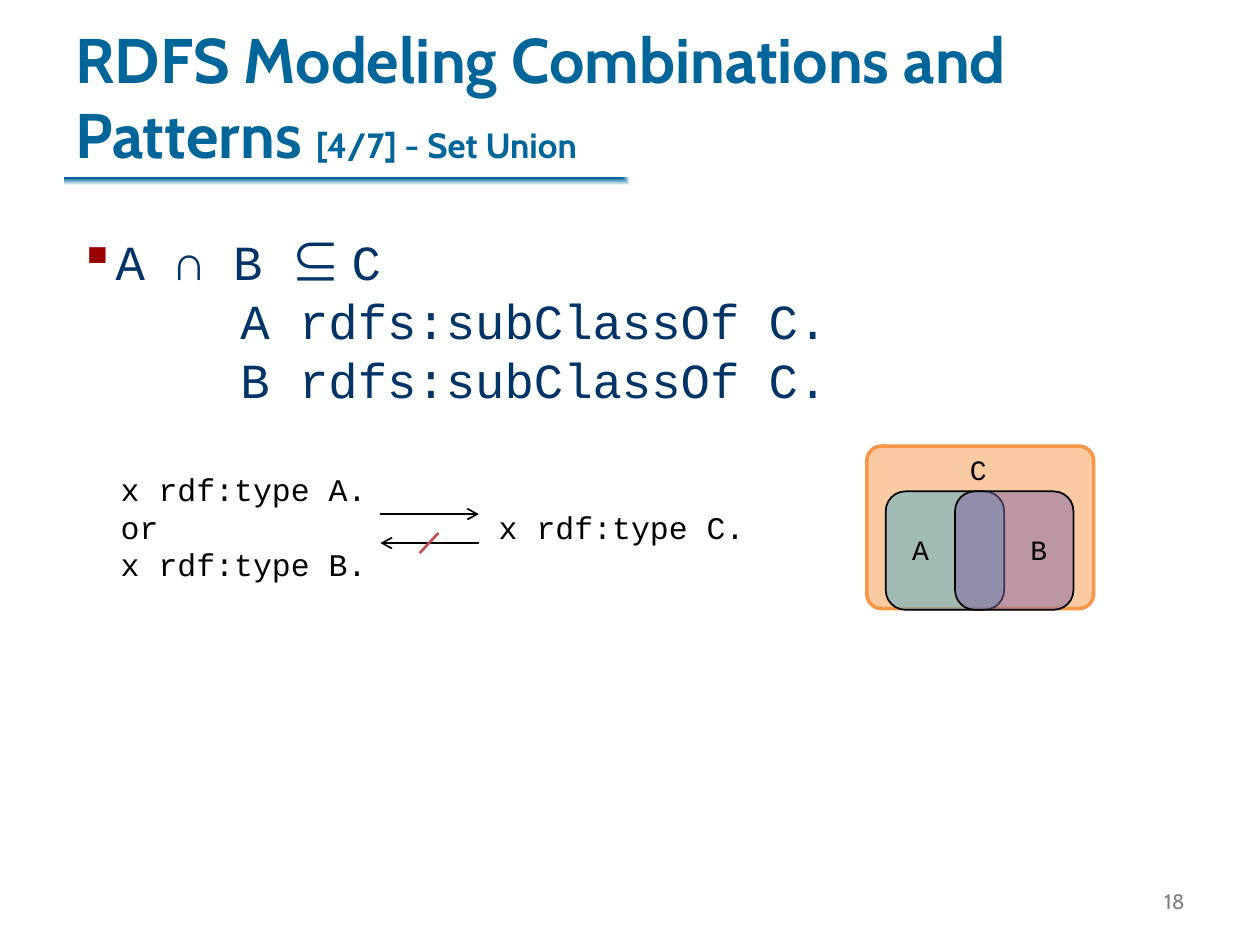
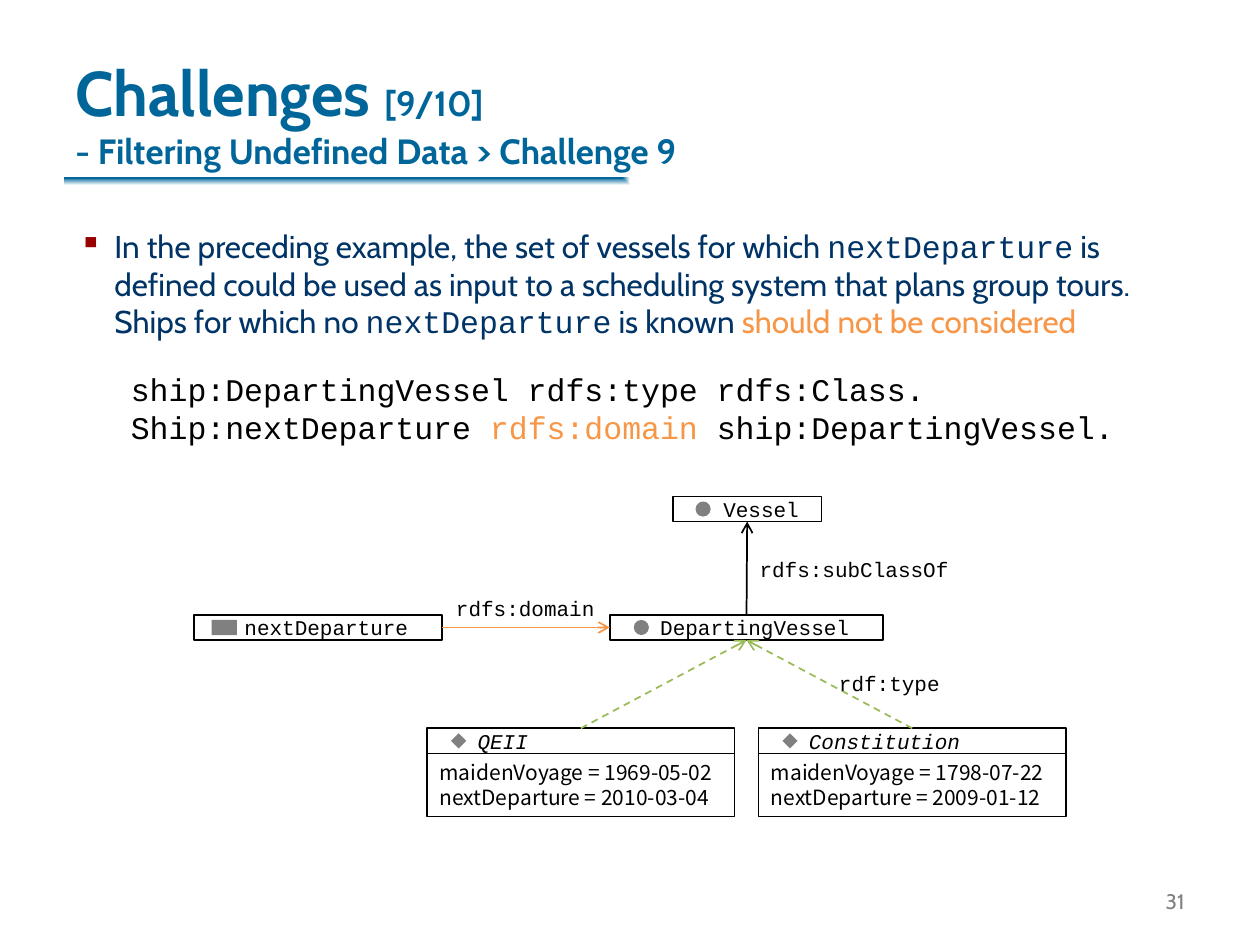
from lxml import etree
from pptx import Presentation
from pptx.dml.color import RGBColor
from pptx.enum.dml import MSO_LINE
from pptx.enum.shapes import MSO_CONNECTOR, MSO_SHAPE
from pptx.enum.text import MSO_ANCHOR, PP_ALIGN
from pptx.oxml import parse_xml
from pptx.oxml.ns import nsdecls, qn
from pptx.util import Inches, Pt

BLUE = RGBColor(0x00, 0x66, 0x99)
NAVY = RGBColor(0x00, 0x33, 0x66)
MAROON = RGBColor(0x99, 0x00, 0x00)
GREY = RGBColor(0x80, 0x80, 0x80)
BLACK = RGBColor(0x00, 0x00, 0x00)
WHITE = RGBColor(0xFF, 0xFF, 0xFF)
ORANGE = RGBColor(0xF7, 0x96, 0x46)
RED = RGBColor(0xC0, 0x50, 0x4D)
TEAL = RGBColor(0x4B, 0xAC, 0xC6)
PURPLE = RGBColor(0x80, 0x64, 0xA2)
GREEN = RGBColor(0x9B, 0xBB, 0x59)
SANS, MONO, NOTO = "Cabin", "Courier New", "Noto Sans CJK KR"


def write(shape, paras, size=12, font=MONO, color=BLACK, bold=False,
          italic=False, align=PP_ALIGN.LEFT, anchor=MSO_ANCHOR.TOP,
          left=0.1, pitch=None):
    """Fill a shape with paragraphs of strings or (string, changes) runs."""
    frame = shape.text_frame
    frame.word_wrap = True
    frame.vertical_anchor = anchor
    frame.margin_left = Inches(left)
    for i, runs in enumerate(paras):
        para = frame.add_paragraph() if i else frame.paragraphs[0]
        para.alignment = align
        if pitch:
            para.line_spacing = Pt(pitch)
        for part in [runs] if isinstance(runs, str) else runs:
            words, diff = (part, {}) if isinstance(part, str) else part
            if words == "\n":
                para.add_line_break()
                continue
            run = para.add_run()
            run.text = words
            face = run.font
            face.size = Pt(diff.get("size", size))
            face.name = diff.get("font", font)
            face.color.rgb = diff.get("color", color)
            face.bold, face.italic = bold, italic
    return frame.paragraphs


def label(slide, x, y, w, h, paras, **style):
    """Add a text box and return its paragraphs."""
    box = slide.shapes.add_textbox(Inches(x), Inches(y), Inches(w), Inches(h))
    return write(box, paras, **style)


def block(slide, kind, x, y, w, h, fill=None, line=None, width=1, alpha=None):
    """Add a preset shape with a plain fill and outline."""
    shape = slide.shapes.add_shape(kind, Inches(x), Inches(y), Inches(w), Inches(h))
    shape.shadow.inherit = False
    if fill is None:
        shape.fill.background()
    else:
        shape.fill.solid()
        shape.fill.fore_color.rgb = fill
    if alpha:
        tint = shape.fill._xPr.find(qn("a:solidFill"))[0]
        etree.SubElement(tint, qn("a:alpha")).set("val", str(alpha * 1000))
    if line is None:
        shape.line.fill.background()
    else:
        shape.line.color.rgb = line
        shape.line.width = Pt(width)
    return shape


def link(slide, start, end, color=BLACK, width=1, arrow=True, dash=False):
    """Draw a line between points or (shape, side) pairs."""
    line = slide.shapes.add_connector(MSO_CONNECTOR.STRAIGHT, 0, 0, 0, 0)
    if isinstance(start[0], (int, float)):
        line.begin_x, line.begin_y = map(Inches, start)
        line.end_x, line.end_y = map(Inches, end)
    else:
        line.begin_connect(*start)
        line.end_connect(*end)
    line.line.color.rgb = color
    line.line.width = Pt(width)
    if dash:
        line.line.dash_style = MSO_LINE.DASH
    if arrow:
        tip = etree.SubElement(line.line._get_or_add_ln(), qn("a:tailEnd"))
        tip.set("type", "arrow")
    etree.SubElement(line._element.spPr, qn("a:effectLst"))


def indent(para, left, hang=0):
    """Set the left margin and first line shift of a paragraph."""
    props = para._p.get_or_add_pPr()
    props.set("marL", str(Inches(left)))
    props.set("indent", str(Inches(hang)))
    return props


def bullet(para):
    """Give a paragraph the square maroon bullet."""
    props = indent(para, 0.31, -0.28)
    tint = etree.SubElement(props, qn("a:buClr"))
    etree.SubElement(tint, qn("a:srgbClr")).set("val", str(MAROON))
    etree.SubElement(props, qn("a:buChar")).set("char", "▪")


def frame(deck, title, number):
    """Start a slide with its rule, title and number."""
    slide = deck.slides.add_slide(deck.slide_layouts[6])
    rule = block(slide, MSO_SHAPE.RECTANGLE, 0.51, 1.41, 8.98, 0.12)
    props = rule._element.spPr
    props.replace(props.find(qn("a:noFill")), parse_xml(
        f'<a:gradFill {nsdecls("a")} rotWithShape="1"><a:gsLst>'
        f'<a:gs pos="0"><a:srgbClr val="{BLUE}"/></a:gs>'
        f'<a:gs pos="100000"><a:srgbClr val="{WHITE}"/></a:gs></a:gsLst>'
        '<a:path path="rect"><a:fillToRect r="100000" b="100000"/></a:path>'
        '</a:gradFill>'))
    label(slide, 0.5, 0, 9, 1.41, [title], size=36, font=SANS, color=BLUE,
          bold=True, anchor=MSO_ANCHOR.BOTTOM)
    label(slide, 8.98, 6.95, 0.52, 0.4, [number], font=SANS, color=GREY,
          align=PP_ALIGN.RIGHT, anchor=MSO_ANCHOR.MIDDLE)
    return slide


def infer(slide, x, y):
    """Place the one-way inference between type statements."""
    lines = label(slide, x, y, 5.19, 1.01,
                  ["x rdf:type A.", "or\tx rdf:type C.", "x rdf:type B."],
                  size=18, pitch=21.6)
    tabs = etree.SubElement(lines[1]._p.get_or_add_pPr(), qn("a:tabLst"))
    stop = etree.SubElement(tabs, qn("a:tab"))
    stop.set("pos", str(Inches(3)))
    stop.set("algn", "l")
    near, far = x + 2.16, x + 2.94
    link(slide, (near, y + 0.4), (far, y + 0.4))
    link(slide, (far, y + 0.63), (near, y + 0.63))
    link(slide, (x + 2.62, y + 0.55), (x + 2.47, y + 0.71), RED, 1.5, arrow=False)


def venn(slide, x, y):
    """Place sets A and B overlapping inside set C."""
    outer = block(slide, MSO_SHAPE.ROUNDED_RECTANGLE, x, y, 1.8, 1.29,
                  ORANGE, ORANGE, 2, 50)
    outer.adjustments[0] = 0.09
    for dx, tint in ((0.15, TEAL), (0.7, PURPLE)):
        block(slide, MSO_SHAPE.ROUNDED_RECTANGLE, x + dx, y + 0.36,
              0.94, 0.94, tint, BLACK, alpha=50)
    for name, dx, dy in (("A", 0.26, 0.64), ("B", 1.2, 0.64), ("C", 0.72, 0)):
        label(slide, x + dx, y + dy, 0.34, 0.37, [name], size=16, pitch=19.2)


def union(deck):
    """Build the set union slide."""
    slide = frame(deck, ["RDFS Modeling Combinations and Patterns ",
                         ("[4/7] - Set Union", {"size": 20})], "18")
    rows = label(slide, 0.5, 1.75, 9, 4.95,
                 [["A ∩ B ", ("⊆ ", {"font": NOTO}), "C"],
                  "A rdfs:subClassOf C.", "B rdfs:subClassOf C."],
                 size=28, color=NAVY, pitch=33.6)
    rows[0].line_spacing = Pt(36.5)
    bullet(rows[0])
    for row in rows[1:]:
        indent(row, 1.31)
    infer(slide, 0.86, 3.68)
    venn(slide, 6.88, 3.54)


def node(slide, x, y, w, name, icon, dx=0.19, wide=0.12, italic=False):
    """Add a named box with a grey icon."""
    box = block(slide, MSO_SHAPE.RECTANGLE, x, y, w, 0.2, WHITE, BLACK)
    write(box, [name], italic=italic, left=0.4, anchor=MSO_ANCHOR.MIDDLE)
    block(slide, icon, x + dx, y + 0.04, wide, 0.12, GREY)
    return box


def ship(slide, x, y, name, maiden, depart):
    """Add one ship with its two dates."""
    dates = block(slide, MSO_SHAPE.RECTANGLE, x, y + 0.2, 2.44, 0.5, line=BLACK)
    write(dates, [f"maidenVoyage = {maiden}", f"nextDeparture = {depart}"],
          font=NOTO, pitch=14.4)
    return node(slide, x, y, 2.44, name, MSO_SHAPE.DIAMOND, italic=True)


def graph(slide, x, y):
    """Place the class diagram and its links."""
    vessel = node(slide, x + 3.8, y, 1.18, "Vessel", MSO_SHAPE.OVAL, 0.18)
    leaving = node(slide, x + 3.3, y + 0.94, 2.17, "DepartingVessel", MSO_SHAPE.OVAL)
    prop = node(slide, x, y + 0.94, 1.97, "nextDeparture",
                MSO_SHAPE.RECTANGLE, 0.14, 0.2)
    link(slide, (prop, 3), (leaving, 1), ORANGE)
    link(slide, (leaving, 0), (vessel, 2))
    for dx, *facts in ((1.85, "QEII", "1969-05-02", "2010-03-04"),
                       (4.48, "Constitution", "1798-07-22", "2009-01-12")):
        boat = ship(slide, x + dx, y + 1.84, *facts)
        link(slide, (boat, 0), (leaving, 2), GREEN, dash=True)
    for name, dx, dy, w in (("rdfs:domain", 1.98, 0.74, 1.32),
                            ("rdfs:subClassOf", 4.39, 0.43, 1.73),
                            ("rdf:type", 5.02, 1.33, 1.02)):
        label(slide, x + dx, y + dy, w, 0.3, [name], pitch=14.4)


def filtering(deck):
    """Build the slide on filtering undefined data."""
    small, mono, warm = {"size": 20}, {"font": MONO}, {"color": ORANGE}
    slide = frame(deck, ["Challenges ", ("[9/10]", small), "\n",
                         ("- Filtering Undefined Data > Challenge 9", small)], "31")
    rows = label(slide, 0.5, 1.75, 9, 4.95, [[
        "In the preceding example, the set of vessels for which ",
        ("nextDeparture", mono),
        " is defined could be used as input to a scheduling system that plans "
        "group tours. Ships for which no ",
        ("nextDeparture", mono), " is known ",
        ("should not be considered", warm)]], size=18, font=SANS, color=NAVY)
    bullet(rows[0])
    label(slide, 0.94, 2.89, 8.04, 0.71,
          ["ship:DepartingVessel rdfs:type rdfs:Class.",
           ["Ship:nextDeparture ", ("rdfs:domain ", warm), "ship:DepartingVessel."]],
          size=18, pitch=21.6)
    graph(slide, 1.54, 3.94)


def main():
    """Build and save the deck."""
    deck = Presentation()
    deck.slide_width, deck.slide_height = Inches(10), Inches(7.5)
    union(deck)
    filtering(deck)
    deck.save("out.pptx")


if __name__ == "__main__":
    main()
